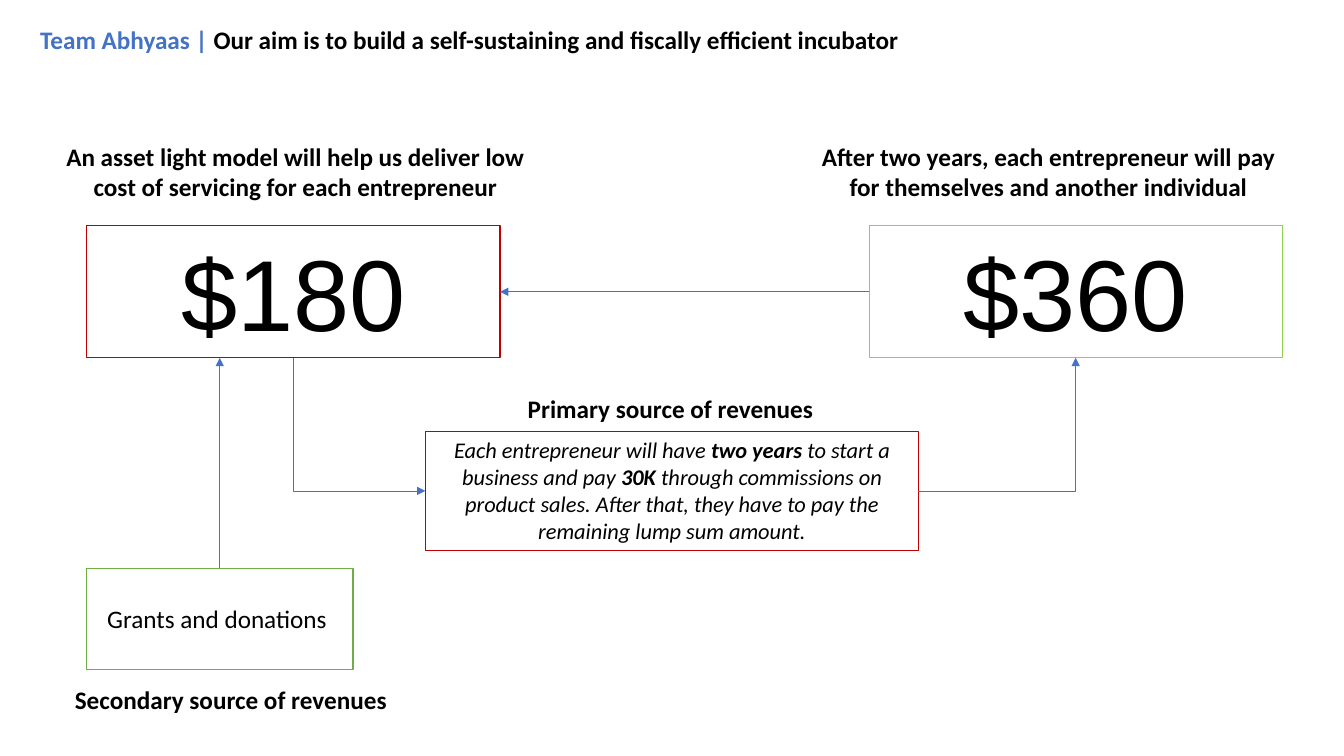
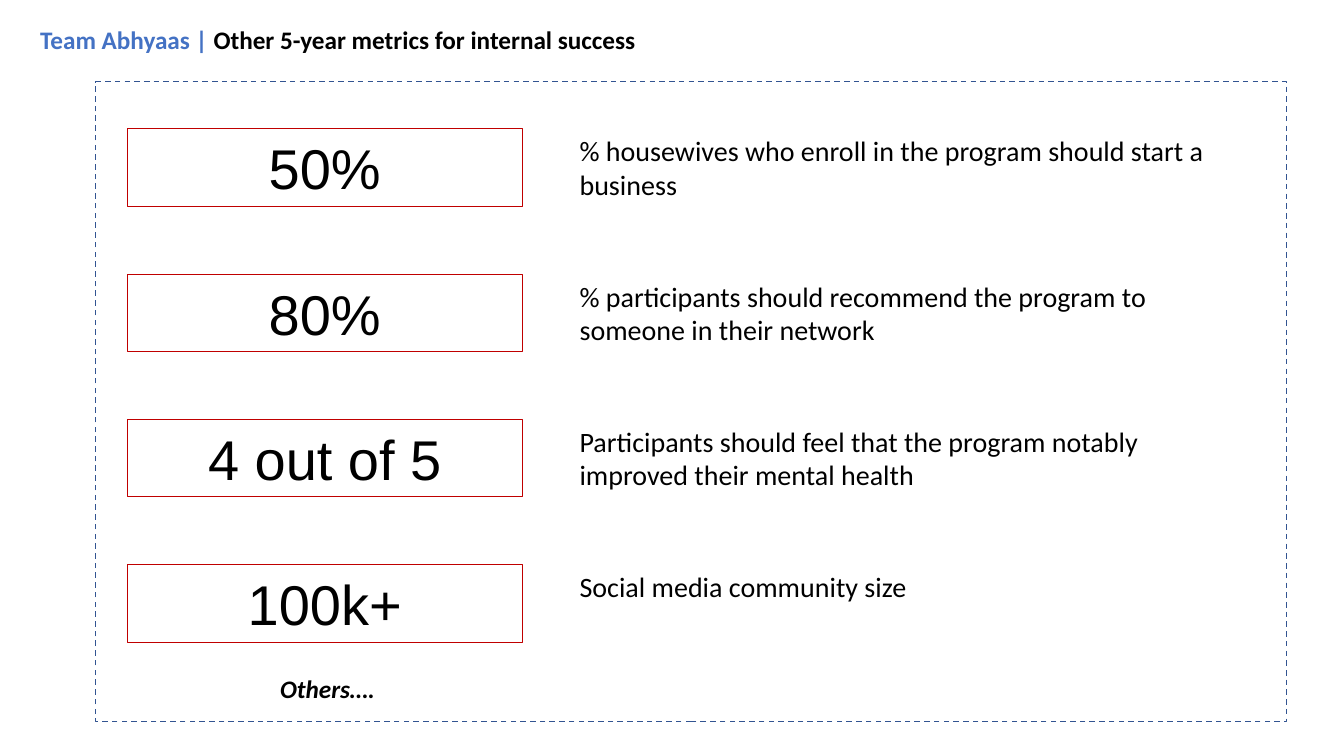
"""Build two slides on the revenue model and success metrics of an incubator."""
import pptx
import pptx.util
import pptx.dml.color
import pptx.enum.dml
import pptx.enum.shapes
import pptx.enum.text
import lxml.etree

BLUE, BLACK, WHITE = "4472C4", "000000", "FFFFFF"
RED, LIME, GREEN, NAVY = "C00000", "92D050", "70AD47", "325491"
BODY_FONT, FIGURE_FONT = "Calibri", "Arial"
TOP, LEFT, BOTTOM, RIGHT = range(4)
CENTER = pptx.enum.text.PP_ALIGN.CENTER
START = pptx.enum.text.PP_ALIGN.LEFT
Inches = pptx.util.Inches

METRICS = [
    ("50%", "% housewives who enroll in the program should start a business"),
    ("80%", "% participants should recommend the program to someone in their network"),
    ("4 out of 5", "Participants should feel that the program notably improved their mental health"),
    ("100k+", "Social media community size"),
]


def color(code):
    """Turn a hex string into a colour."""
    return pptx.dml.color.RGBColor.from_string(code)


def write(box, spans, size, align=CENTER, font=BODY_FONT, bold=None, italic=None,
          anchor=pptx.enum.text.MSO_ANCHOR.TOP):
    """Fill a box with one paragraph of (text, bold, colour) spans."""
    frame = box.text_frame
    frame.word_wrap = True
    frame.vertical_anchor = anchor
    para = frame.paragraphs[0]
    para.alignment = align
    para.font.name = font
    para.font.size = pptx.util.Pt(size)
    para.font.bold = bold
    para.font.italic = italic
    para.font.color.rgb = color(BLACK)
    for text, span_bold, span_color in spans:
        span = para.add_run()
        span.text = text
        if span_bold is not None:
            span.font.bold = span_bold
        if span_color:
            span.font.color.rgb = color(span_color)


def plain(text):
    """Make a span list for text of one style."""
    return [(text, None, None)]


def add_label(page, spans, place, size=18, **style):
    """Add a text box."""
    box = page.shapes.add_textbox(*map(Inches, place))
    write(box, spans, size, **style)


def add_frame(page, place, line, width=0.75, fill=None):
    """Add an outlined rectangle."""
    box = page.shapes.add_shape(pptx.enum.shapes.MSO_SHAPE.RECTANGLE, *map(Inches, place))
    box.shadow.inherit = False
    if fill:
        box.fill.solid()
        box.fill.fore_color.rgb = color(fill)
    else:
        box.fill.background()
    box.line.color.rgb = color(line)
    box.line.width = pptx.util.Pt(width)
    return box


def add_figure(page, text, place, size, line=RED):
    """Add an outlined box that holds one large figure."""
    box = add_frame(page, place, line)
    write(box, plain(text), size, font=FIGURE_FONT)
    return box


def add_arrow(page, start, end, bent=False, head="tailEnd"):
    """Add an arrow between two points or (box, side) pairs."""
    kinds = pptx.enum.shapes.MSO_CONNECTOR
    points = [(0, 0) if not isinstance(spot[0], (int, float)) else spot for spot in (start, end)]
    arrow = page.shapes.add_connector(kinds.ELBOW if bent else kinds.STRAIGHT,
                                      *map(Inches, points[0] + points[1]))
    for spot, point, connect in ((start, points[0], arrow.begin_connect),
                                 (end, points[1], arrow.end_connect)):
        if spot is not point:
            connect(*spot)
    arrow.line.color.rgb = color(BLUE)
    arrow.line.width = pptx.util.Pt(0.5)
    properties = arrow.element.spPr
    namespace = "{%s}" % properties.nsmap["a"]
    if bent:
        properties.find(namespace + "prstGeom").set("prst", "bentConnector2")
    outline = properties.find(namespace + "ln")
    lxml.etree.SubElement(outline, namespace + head, type="triangle")
    lxml.etree.SubElement(properties, namespace + "effectLst")


def add_page(deck, title):
    """Add a blank slide with the shared title line."""
    page = deck.slides.add_slide(deck.slide_layouts[6])
    add_label(page, [("Team Abhyaas | ", None, BLUE), (title, None, None)],
              (0.3, 0.19, 11.94, 0.4), align=START, bold=True)
    return page


def build_revenue(deck):
    """Build the revenue flow slide."""
    page = add_page(deck, "Our aim is to build a self-sustaining and fiscally efficient incubator")
    for text, left, top, height in (
            ("An asset light model will help us deliver low cost of servicing for each entrepreneur",
             0.5, 1.35, 0.71),
            ("After two years, each entrepreneur will pay for themselves and another individual",
             7.97, 1.35, 0.71),
            ("Primary source of revenues", 4.22, 3.85, 0.4),
            ("Secondary source of revenues", -0.14, 6.74, 0.4)):
        add_label(page, plain(text), (left, top, 4.86, height), bold=True)

    cost = add_figure(page, "$180", (0.86, 2.24, 4.1, 1.31), 72)
    payment = add_figure(page, "$360", (8.62, 2.24, 4.1, 1.31), 72, LIME)
    primary = add_frame(page, (4.22, 4.28, 4.89, 1.18), RED)
    write(primary, [
        ("Each entrepreneur will have ", None, None),
        ("two years ", True, None),
        ("to start a business and pay ", None, None),
        ("30K ", True, None),
        ("through commissions on product sales. After that, they have to pay the "
         "remaining lump sum amount.", None, None),
    ], 16, italic=True)
    grants = add_frame(page, (0.86, 5.64, 2.64, 1), GREEN, 1, WHITE)
    write(grants, plain("Grants and donations "), 18,
          anchor=pptx.enum.text.MSO_ANCHOR.MIDDLE)

    add_arrow(page, (primary, LEFT), (cost, BOTTOM), bent=True, head="headEnd")
    add_arrow(page, (primary, RIGHT), (payment, BOTTOM), bent=True)
    add_arrow(page, (payment, LEFT), (cost, RIGHT))
    add_arrow(page, (2.18, 5.64), (2.18, 3.55))


def build_metrics(deck):
    """Build the success metrics slide."""
    page = add_page(deck, "Other 5-year metrics for internal success")
    for row, (figure, meaning) in enumerate(METRICS):
        top = 1.28 + row * 1.44
        add_figure(page, figure, (1.26, top, 3.92, 0.77), 40)
        add_label(page, plain(meaning), (5.65, top, 6.43, 0.77), 20, align=START)
    border = add_frame(page, (0.95, 0.81, 11.81, 6.35), NAVY, 1)
    border.line.dash_style = pptx.enum.dml.MSO_LINE.DASH
    add_label(page, plain("Others…."), (2.68, 6.63, 2.49, 0.4),
              align=START, bold=True, italic=True)


def main():
    """Build and save the deck."""
    deck = pptx.Presentation()
    deck.slide_width, deck.slide_height = Inches(13.33), Inches(7.5)
    build_revenue(deck)
    build_metrics(deck)
    deck.save("out.pptx")


if __name__ == "__main__":
    main()
